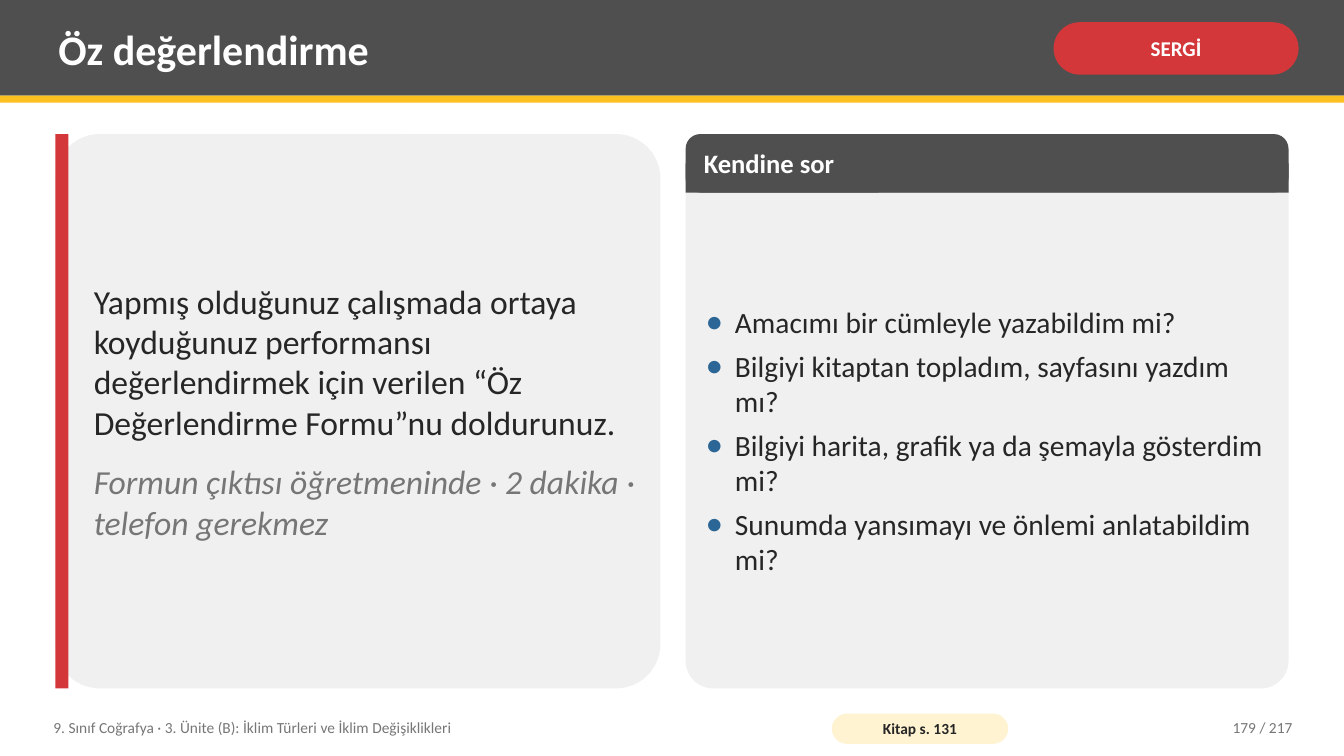
from lxml import etree
from pptx import Presentation, util as u
from pptx.dml.color import RGBColor
from pptx.enum import shapes as s, text as t
from pptx.oxml.ns import qn

WIDTH, HEIGHT = 13.33, 7.5
FONT = "Calibri"
DARK, RED, YELLOW, CREAM = "4F4F4F", "D3373A", "FCC021", "FFF3D1"
PANEL, INK, GREY, BLUE, WHITE = "F0F0F0", "262626", "767676", "2C6696", "FFFFFF"
RECT, ROUND = s.MSO_SHAPE.RECTANGLE, s.MSO_SHAPE.ROUNDED_RECTANGLE
LEFT, CENTER, RIGHT = t.PP_ALIGN.LEFT, t.PP_ALIGN.CENTER, t.PP_ALIGN.RIGHT
TOP, PANEL_HEIGHT = 1.33, 5.5

QUESTIONS = [
    "Amacımı bir cümleyle yazabildim mi?",
    "Bilgiyi kitaptan topladım, sayfasını yazdım mı?",
    "Bilgiyi harita, grafik ya da şemayla gösterdim mi?",
    "Sunumda yansımayı ve önlemi anlatabildim mi?",
]


def color(hex_code):
    return RGBColor.from_string(hex_code)


def block(slide, box, fill, kind=RECT, corner=None):
    shape = slide.shapes.add_shape(kind, *map(u.Inches, box))
    shape.shadow.inherit = False
    shape.fill.solid()
    shape.fill.fore_color.rgb = color(fill)
    shape.line.fill.background()
    if corner is not None:
        shape.adjustments[0] = corner
    return shape


def set_frame(shape, side=0.08, edge=0.04):
    frame = shape.text_frame
    frame.word_wrap = True
    frame.vertical_anchor = t.MSO_ANCHOR.MIDDLE
    frame.margin_left = frame.margin_right = u.Inches(side)
    frame.margin_top = frame.margin_bottom = u.Inches(edge)
    return frame


def text_frame(slide, box):
    return set_frame(slide.shapes.add_textbox(*map(u.Inches, box)))


def write(paragraph, words, size, ink, bold=False, italic=False, align=LEFT, after=0):
    paragraph.alignment = align
    paragraph.space_after = u.Pt(after)
    run = paragraph.add_run()
    run.text = words
    run.font.name, run.font.size = FONT, u.Pt(size)
    run.font.bold, run.font.italic = bold, italic
    run.font.color.rgb = color(ink)


def add_bullet(paragraph, indent=0.29):
    props = paragraph._p.get_or_add_pPr()
    props.set("marL", str(u.Inches(indent)))
    props.set("indent", str(-u.Inches(indent)))
    tint = etree.SubElement(props, qn("a:buClr"))
    etree.SubElement(tint, qn("a:srgbClr"), val=BLUE)
    etree.SubElement(props, qn("a:buSzPct"), val="120000")
    etree.SubElement(props, qn("a:buFont"), typeface=FONT)
    etree.SubElement(props, qn("a:buChar"), char="•")


def pill(slide, box, words, size, fill, ink, side, edge):
    frame = set_frame(block(slide, box, fill, ROUND, 0.5), side, edge)
    write(frame.paragraphs[0], words, size, ink, bold=True, align=CENTER)


def header(slide, x, y, w, h):
    block(slide, (x, y, w, h), DARK)
    block(slide, (x, y + h, w, 0.07), YELLOW)
    title = text_frame(slide, (x + 0.5, y + 0.07, 9.75, 0.82))
    write(title.paragraphs[0], "Öz değerlendirme", 30, WHITE, bold=True)
    pill(slide, (x + w - 2.88, y + 0.22, 2.43, 0.52), "SERGİ", 15, RED, WHITE, 0.05, 0.02)


def task_panel(slide, x, y, w, h):
    block(slide, (x, y, w, h), PANEL, ROUND, 0.08)
    block(slide, (x, y, 0.13, h), RED)
    task = text_frame(slide, (x + 0.3, y, w - 0.45, h))
    write(task.paragraphs[0],
          "Yapmış olduğunuz çalışmada ortaya koyduğunuz performansı "
          "değerlendirmek için verilen “Öz Değerlendirme Formu”nu doldurunuz.",
          24, INK, after=14)
    write(task.add_paragraph(),
          "Formun çıktısı öğretmeninde · 2 dakika · telefon gerekmez",
          24, GREY, italic=True)


def question_panel(slide, x, y, w, h, band=0.58):
    block(slide, (x, y, w, h), PANEL, ROUND, 0.05)
    # Heading band: round on top, square below
    block(slide, (x, y, w, band), DARK, ROUND, 0.25)
    block(slide, (x, y + band / 2, w, band / 2), DARK)
    heading = text_frame(slide, (x + 0.1, y, w - 0.2, band))
    write(heading.paragraphs[0], "Kendine sor", 19, WHITE, bold=True)
    # Question list
    body = text_frame(slide, (x + 0.12, y + band + 0.08, w - 0.24, h - band - 0.16))
    for number, question in enumerate(QUESTIONS):
        paragraph = body.add_paragraph() if number else body.paragraphs[0]
        last = number == len(QUESTIONS) - 1
        write(paragraph, question, 21, INK, after=0 if last else 6)
        add_bullet(paragraph)


def footer(slide, x, y, w, h):
    course = text_frame(slide, (x, y, 7.6, h))
    write(course.paragraphs[0],
          "9. Sınıf Coğrafya · 3. Ünite (B): İklim Türleri ve İklim Değişiklikleri", 11, GREY)
    pill(slide, (x + 7.8, y + 0.04, 1.75, 0.3), "Kitap s. 131", 11, CREAM, INK, 0.04, 0)
    page = text_frame(slide, (x + w - 1.6, y, 1.6, h))
    write(page.paragraphs[0], "179 / 217", 11, GREY, align=RIGHT)


def main():
    deck = Presentation()
    deck.slide_width, deck.slide_height = u.Inches(WIDTH), u.Inches(HEIGHT)
    slide = deck.slides.add_slide(deck.slide_layouts[6])
    header(slide, 0, 0, WIDTH, 0.95)
    task_panel(slide, 0.55, TOP, 6, PANEL_HEIGHT)
    question_panel(slide, 6.8, TOP, 5.98, PANEL_HEIGHT)
    footer(slide, 0.45, 7.04, 12.45, 0.36)
    deck.save("out.pptx")


if __name__ == "__main__":
    main()
